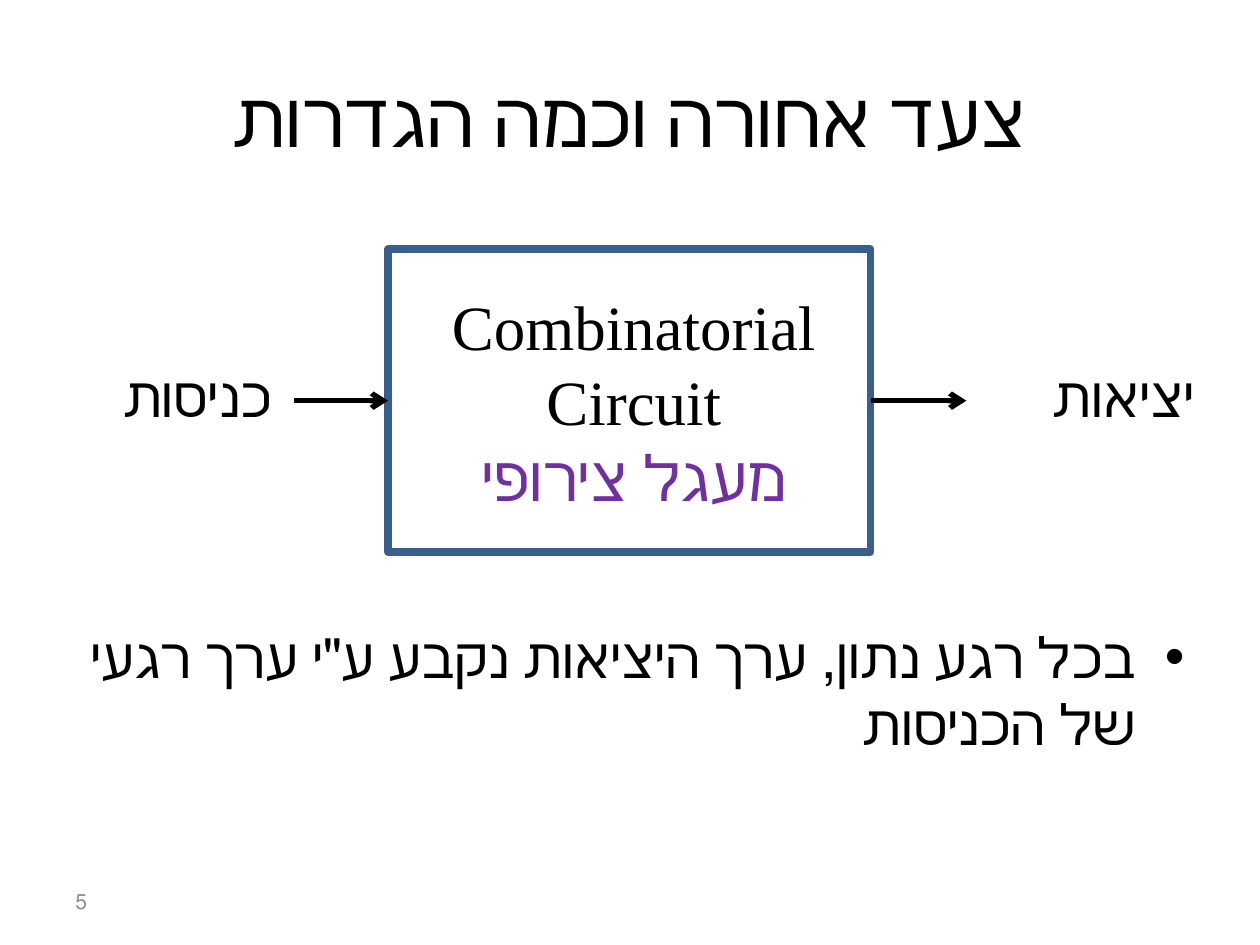
import pptx
import pptx.dml.color
import pptx.enum.shapes
import pptx.enum.text
import pptx.oxml
import pptx.oxml.ns
import pptx.util
from dataclasses import dataclass

Inches = pptx.util.Inches
ALIGN = pptx.enum.text.PP_ALIGN
ANCHOR = pptx.enum.text.MSO_ANCHOR


@dataclass(frozen=True)
class Theme:
    sans: str = "Calibri"
    serif: str = "Times New Roman"
    ink: str = "000000"
    accent: str = "7030A0"
    frame: str = "3A5F8C"
    muted: str = "8C8C8C"
    title_size: int = 44
    circuit_size: int = 36
    text_size: int = 32
    number_size: int = 12


theme = Theme()


def rgb(color):
    return pptx.dml.color.RGBColor.from_string(color)


def fill_text(box, bounds, lines, size, align, font=theme.sans, anchor=ANCHOR.TOP):
    """Place a box and write right-to-left lines of (text, colour)."""
    box.left, box.top, box.width, box.height = map(Inches, bounds)
    frame = box.text_frame
    frame.word_wrap = True
    frame.vertical_anchor = anchor
    frame.text = "\n".join(text for text, _ in lines)
    for para, (_, color) in zip(frame.paragraphs, lines):
        para.alignment = align
        para.font.name = font
        para.font.size = pptx.util.Pt(size)
        para.font.color.rgb = rgb(color)
        para._p.get_or_add_pPr().set("rtl", "1")


deck = pptx.Presentation()
deck.slide_width, deck.slide_height = Inches(10), Inches(7.5)
page = deck.slides.add_slide(deck.slide_layouts[1])
shapes = page.shapes

# Title
fill_text(shapes.title, (0.5, 0.3, 9, 1.25), [("צעד אחורה וכמה הגדרות", theme.ink)],
          theme.title_size, ALIGN.CENTER, anchor=ANCHOR.MIDDLE)

# Bulleted statement below the diagram
body = page.placeholders[1]
fill_text(body, (0.5, 4.89, 9, 1.81),
          [("בכל רגע נתון, ערך היציאות נקבע ע\"י ערך רגעי של הכניסות", theme.ink)],
          theme.text_size, ALIGN.RIGHT)
statement = body.text_frame.paragraphs[0]
statement.space_before = pptx.util.Pt(0)
properties = statement._p.get_or_add_pPr()
properties.set("marL", str(Inches(0.38)))
properties.set("indent", str(Inches(-0.38)))

# Circuit block
circuit = shapes.add_shape(pptx.enum.shapes.MSO_SHAPE.RECTANGLE,
                           Inches(3.08), Inches(1.98), Inches(3.83), Inches(2.4))
circuit.shadow.inherit = False
circuit.fill.background()
circuit.line.color.rgb = rgb(theme.frame)
circuit.line.width = pptx.util.Pt(4.5)

# Text boxes: circuit name, inputs, outputs, page number
for bounds, lines, size, align, font, anchor in [
    ((3.17, 2.23, 3.72, 1.92),
     [("Combinatorial Circuit", theme.ink), ("מעגל צירופי", theme.accent)],
     theme.circuit_size, ALIGN.CENTER, theme.serif, ANCHOR.TOP),
    ((0.67, 2.82, 1.58, 0.64), [("כניסות", theme.ink)],
     theme.text_size, ALIGN.RIGHT, theme.sans, ANCHOR.TOP),
    ((7.83, 2.82, 1.75, 0.64), [("יציאות", theme.ink)],
     theme.text_size, ALIGN.RIGHT, theme.sans, ANCHOR.TOP),
    ((0.5, 6.95, 2.33, 0.4), [("5", theme.muted)],
     theme.number_size, ALIGN.LEFT, theme.sans, ANCHOR.MIDDLE),
]:
    box = shapes.add_textbox(*map(Inches, bounds))
    fill_text(box, bounds, lines, size, align, font, anchor)

# Arrows into and out of the circuit
middle = Inches(3.18)
for start, end in [(2.33, 3.08), (6.91, 7.67)]:
    arrow = shapes.add_connector(pptx.enum.shapes.MSO_CONNECTOR.STRAIGHT,
                                 Inches(start), middle, Inches(end), middle)
    if start < 3:
        arrow.end_connect(circuit, 1)
    else:
        arrow.begin_connect(circuit, 3)
    arrow.line.color.rgb = rgb(theme.ink)
    arrow.line.width = pptx.util.Pt(3)
    head = pptx.oxml.parse_xml(
        f'<a:tailEnd {pptx.oxml.ns.nsdecls("a")} type="arrow"/>')
    arrow.line._get_or_add_ln().append(head)
    arrow._element.spPr.append(
        pptx.oxml.parse_xml(f'<a:effectLst {pptx.oxml.ns.nsdecls("a")}/>'))

deck.save("out.pptx")
